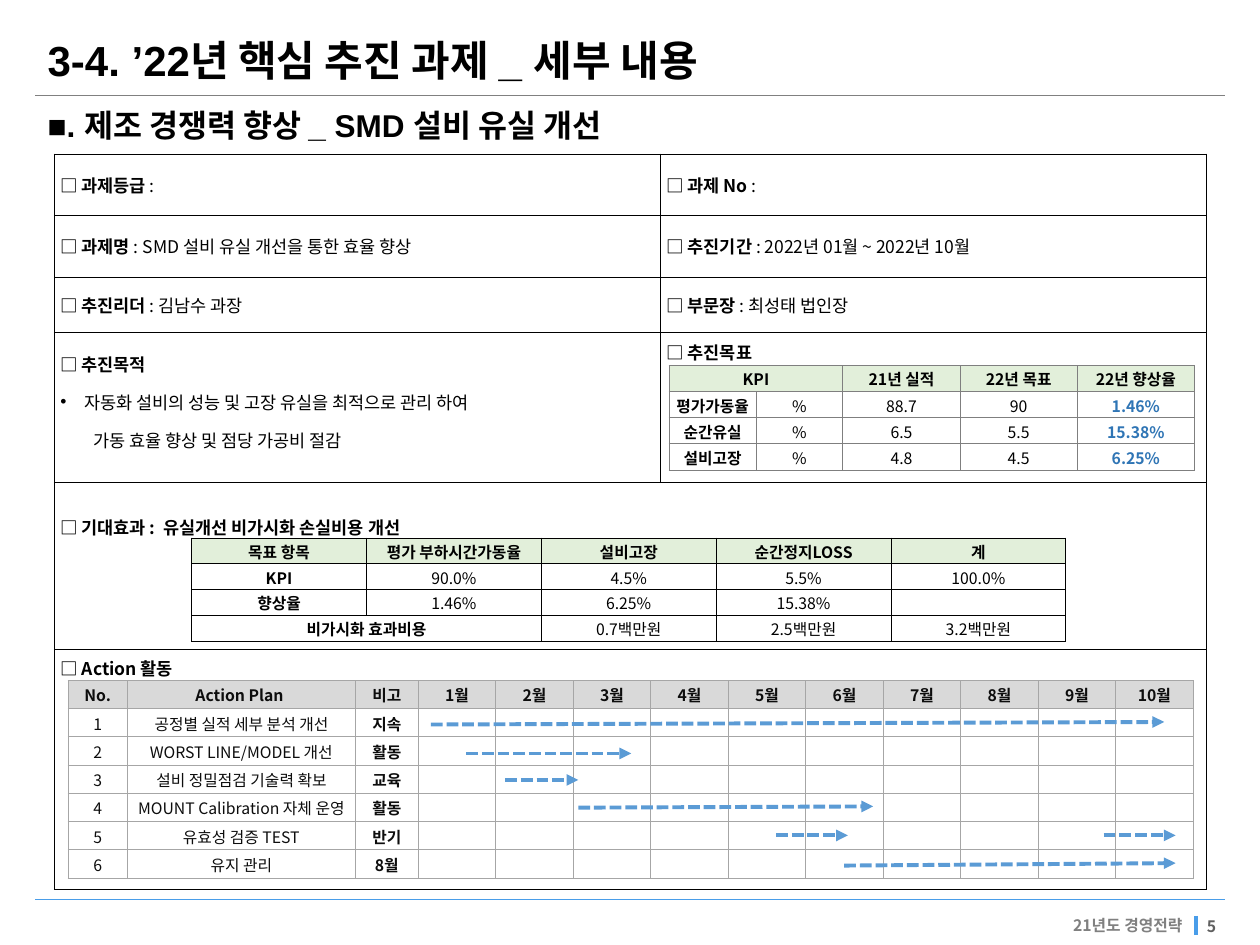
from dataclasses import dataclass

from lxml.etree import SubElement
from pptx import Presentation
from pptx.dml.color import RGBColor
from pptx.enum.dml import MSO_LINE_DASH_STYLE as Dash
from pptx.enum.shapes import MSO_CONNECTOR_TYPE as Connector
from pptx.enum.text import MSO_VERTICAL_ANCHOR as Anchor, PP_PARAGRAPH_ALIGNMENT as Align
from pptx.oxml.ns import qn
from pptx.util import Inches, Pt

KOREAN = "Noto Sans CJK KR"
BLACK, DARK, BLUE = "000000", "0D0D0D", "499DE9"
KPI_BLUE, ARROW_BLUE = "2F75B5", "5B9BD5"
GREEN, GRAY, WHITE = "E2EFDA", "D9D9D9", "FFFFFF"


def rgb(value):
    return RGBColor.from_string(value)


def unit(count):
    return Inches(count / 10)


@dataclass
class Line:
    runs: list
    spacing: float = 1.0
    left: float = 0
    bullet: bool = False


@dataclass
class Sheet:
    slide: object
    font: str = KOREAN
    small: int = 9
    body: int = 10

    def run(self, paragraph, text, size, bold, color=BLACK, font=None):
        run = paragraph.add_run()
        run.text = text
        run.font.name = font or self.font
        run.font.size = Pt(size)
        run.font.bold = bold
        run.font.color.rgb = rgb(color)
        SubElement(run.font._element, qn("a:ea"), typeface=self.font)

    def text(self, box, text, size, color=BLACK, font=None, spacing=1.0, align=Align.LEFT, wrap=True):
        shape = self.slide.shapes.add_textbox(*map(unit, box))
        frame = shape.text_frame
        frame.word_wrap = wrap
        frame.vertical_anchor = Anchor.MIDDLE
        paragraph = frame.paragraphs[0]
        paragraph.alignment = align
        paragraph.line_spacing = spacing
        self.run(paragraph, text, size, True, color, font)

    def line(self, start, end, color, width, arrow=False):
        connector = self.slide.shapes.add_connector(Connector.STRAIGHT, *map(unit, start + end))
        connector.line.color.rgb = rgb(color)
        connector.line.width = Pt(width)
        if arrow:
            connector.line.dash_style = Dash.SQUARE_DOT
            SubElement(connector.line._get_or_add_ln(), qn("a:tailEnd"), type="triangle")
        SubElement(connector._element.spPr, qn("a:effectLst"))

    def table(self, left, top, columns, rows, border, width):
        frame = self.slide.shapes.add_table(
            len(rows), len(columns), *map(unit, (left, top, sum(columns), sum(rows))))
        table = frame.table
        table.first_row = table.horz_banding = False
        for column, size in zip(table.columns, columns):
            column.width = unit(size)
        for row, size in zip(table.rows, rows):
            row.height = unit(size)
        for cell in table.iter_cells():
            properties = cell._tc.get_or_add_tcPr()
            for side in ("lnL", "lnR", "lnT", "lnB"):
                edge = SubElement(properties, qn(f"a:{side}"), w=str(Pt(width)))
                SubElement(SubElement(edge, qn("a:solidFill")), qn("a:srgbClr"), val=border)
            cell.fill.background()
        return table

    def form_cell(self, cell, lines, anchor, top):
        cell.vertical_anchor = anchor
        cell.margin_left = cell.margin_right = cell.margin_bottom = unit(0.5)
        cell.margin_top = unit(top)
        for index, line in enumerate(lines):
            paragraph = cell.text_frame.add_paragraph() if index else cell.text_frame.paragraphs[0]
            paragraph.line_spacing = line.spacing
            properties = paragraph._p.get_or_add_pPr()
            properties.set("marL", str(unit(line.left)))
            if line.bullet:
                properties.set("indent", str(-unit(line.left)))
                SubElement(properties, qn("a:buFont"), typeface="Arial")
                SubElement(properties, qn("a:buChar"), char="•")
            for text, bold in line.runs:
                self.run(paragraph, text, self.body, bold)

    def data_cell(self, cell, text, bold, color, fill):
        cell.vertical_anchor = Anchor.MIDDLE
        cell.margin_left = cell.margin_right = cell.margin_top = unit(0.1)
        cell.margin_bottom = 0
        if fill:
            cell.fill.solid()
            cell.fill.fore_color.rgb = rgb(fill)
        paragraph = cell.text_frame.paragraphs[0]
        paragraph.alignment = Align.CENTER
        if text:
            self.run(paragraph, text, self.small, bold, color)
        else:
            SubElement(paragraph._p, qn("a:endParaRPr"), sz=str(self.small * 100))

    def data_table(self, left, top, columns, height, values, border, header, bold_columns,
                   color=BLACK, accent=None, fill=None, merged_row=None):
        rows = [height / len(values)] * len(values)
        table = self.table(left, top, columns, rows, border, 0.5)
        if merged_row is not None:
            table.cell(merged_row, 0).merge(table.cell(merged_row, 1))
        for r in range(len(values)):
            for c in range(len(columns)):
                text = values[r][c] if c < len(values[r]) else ""
                highlighted = accent and r > 0 and c == len(columns) - 1
                self.data_cell(table.cell(r, c), text, r == 0 or c in bold_columns,
                               accent if highlighted else color, fill if r else header)


def field(label, value):
    return [Line([(f"□ {label} ", True), (f": {value}".strip(), False)])]


def heading(text, spacing=1.0):
    return Line([(f"□ {text}", True)], spacing)


FORM = [
    [field("과제등급", ""), field("과제 No", "")],
    [field("과제명", "SMD 설비 유실 개선을 통한 효율 향상"),
     field("추진기간", "2022년 01월 ~ 2022년 10월")],
    [field("추진리더", "김남수 과장"), field("부문장", "최성태 법인장")],
    [[heading("추진목적", 1.5),
      Line([("자동화 설비의 성능 및 고장 유실을 최적으로 관리 하여", False)], 1.5, 1.9, True),
      Line([("가동 효율 향상 및 점당 가공비 절감", False)], 1.5, 2.6)],
     [heading("추진목표")]],
    [[heading("기대효과 :  유실개선 비가시화 손실비용 개선")]],
    [[heading("Action 활동")]],
]
KPI = [
    ["KPI", "", "21년 실적", "22년 목표", "22년 향상율"],
    ["평가가동율", "%", "88.7", "90", "1.46%"],
    ["순간유실", "%", "6.5", "5.5", "15.38%"],
    ["설비고장", "%", "4.8", "4.5", "6.25%"],
]
PLAN = [
    ["No.", "Action Plan ", "비고"] + [f"{month}월" for month in range(1, 11)],
    ["1", "공정별 실적 세부 분석 개선", "지속"],
    ["2", "WORST LINE/MODEL 개선", "활동"],
    ["3", "설비 정밀점검 기술력 확보", "교육"],
    ["4", "MOUNT Calibration 자체 운영", "활동"],
    ["5", "유효성 검증 TEST", "반기"],
    ["6", "유지 관리", "8월"],
]
SCHEDULE = [
    (34.2, 57.5, 92.4, 57.3), (37, 59.8, 50.1, 59.8), (40.1, 61.9, 45.9, 61.9),
    (45.9, 64.1, 69.3, 64), (61.6, 66.3, 67.3, 66.3), (87.6, 66.3, 93.3, 66.3),
    (67, 68.7, 93.3, 68.5),
]
EFFECT = [
    ["목표 항목", "평가 부하시간가동율", "설비고장", "순간정지LOSS", "계"],
    ["KPI", "90.0%", "4.5%", "5.5%", "100.0%"],
    ["향상율", "1.46%", "6.25%", "15.38%", ""],
    ["비가시화 효과비용", "", "0.7백만원", "2.5백만원", "3.2백만원"],
]


def main():
    presentation = Presentation()
    presentation.slide_width, presentation.slide_height = unit(100), unit(75)
    sheet = Sheet(presentation.slides.add_slide(presentation.slide_layouts[6]))

    sheet.line((97.2, 7.6), (2.8, 7.6), "808080", 0.75)
    sheet.line((97.2, 71.4), (2.8, 71.4), BLUE, 1)
    sheet.text((94.8, 72.7, 4.4, 2), "5", 9, "5F5F5F", spacing=0.6)
    sheet.text((83.1, 72.2, 12.8, 2.5), "21년도 경영전략", 9, "808080", align=Align.CENTER, wrap=False)
    sheet.line((94.9, 72.7), (94.9, 74.2), BLUE, 2.25)

    sheet.text((2.8, 2.8, 65.4, 4.5), "3-4. ’22년 핵심 추진 과제 _ 세부 내용", 24, font="Arial", spacing=0.85)
    sheet.text((2.8, 7.9, 65.4, 4.5), "■. 제조 경쟁력 향상 _ SMD 설비 유실 개선", 18, font="Arial", spacing=0.85)

    form = sheet.table(4.3, 12.2, [48.1, 43.3], [4.9, 4.9, 4.4, 11.9, 13.2, 19.1], BLACK, 0.25)
    for r, cells in enumerate(FORM):
        if len(cells) == 1:
            form.cell(r, 0).merge(form.cell(r, 1))
        for c, lines in enumerate(cells):
            sheet.form_cell(form.cell(r, c), lines, Anchor.MIDDLE if r < 3 else Anchor.TOP,
                            2.5 if r == 4 else 0.5)

    sheet.data_table(53.1, 29, [6.9] * 2 + [9.3] * 3, 8.3, KPI, "7F7F7F", GREEN, (0, 4),
                     accent=KPI_BLUE, merged_row=0)
    sheet.data_table(5.4, 54, [4.7, 18.1, 5] + [6.15] * 10, 15.7, PLAN, "A6A6A6", GRAY, (2,), color=DARK)
    for x1, y1, x2, y2 in SCHEDULE:
        sheet.line((x1, y1), (x2, y2), ARROW_BLUE, 2.25, arrow=True)
    sheet.data_table(15.2, 42.7, [13.88] * 5, 8.2, EFFECT, BLACK, GREEN, (0,), fill=WHITE, merged_row=3)

    presentation.save("out.pptx")


if __name__ == "__main__":
    main()
